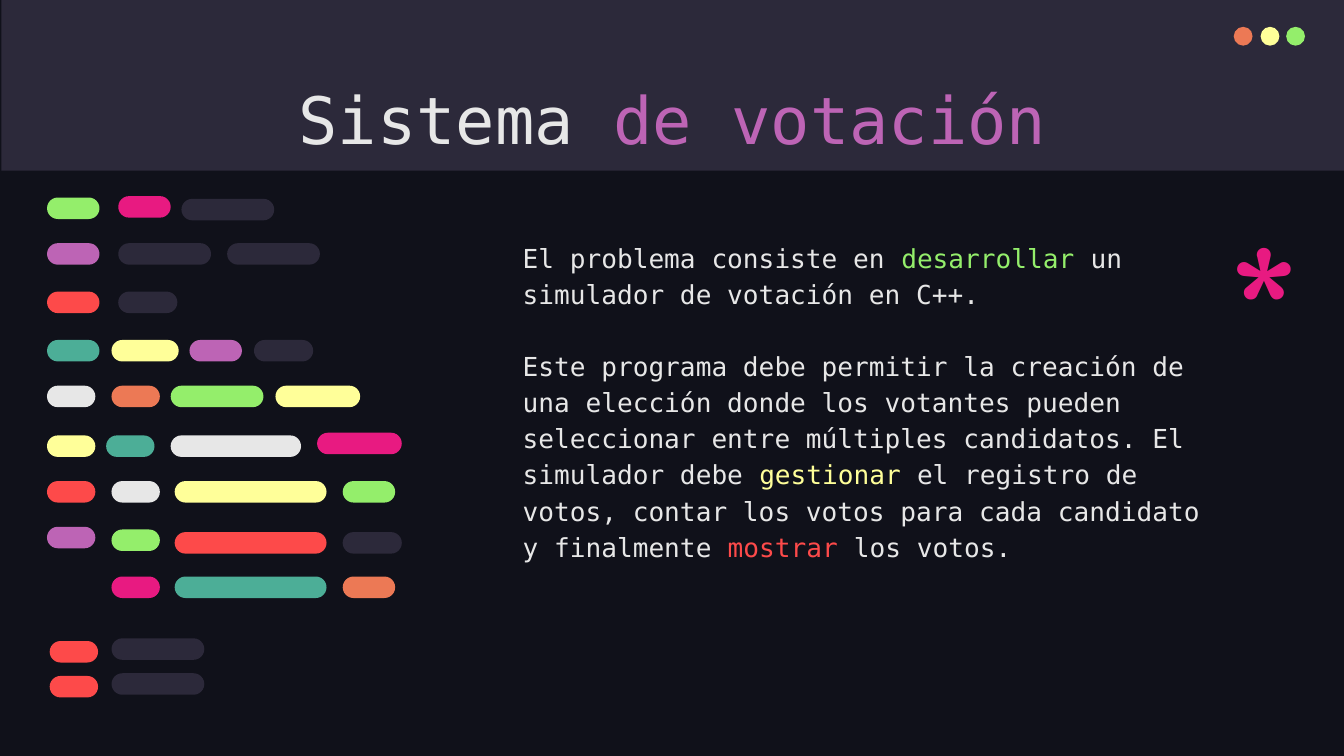
from pptx import Presentation
from pptx.dml.color import RGBColor
from pptx.enum.shapes import MSO_SHAPE
from pptx.enum.text import MSO_ANCHOR, PP_ALIGN
from pptx.util import Inches, Pt

NIGHT, SLATE, WHITE = "10111A", "2C293A", "E7E7E7"
GREEN, PINK, PURPLE, RED = "94EE6B", "E81A81", "BD64B5", "FD4A4A"
TEAL, YELLOW, ORANGE = "4CAE97", "FFFF99", "EC7955"
MONO = "DejaVu Sans Mono"

TITLE = [[("Sistema ", WHITE), ("de votación", PURPLE)]]
BODY = [
    [("El problema consiste en ", WHITE), ("desarrollar", GREEN),
     (" un simulador de votación en C++.", WHITE)],
    [("Este programa debe permitir la creación de una elección donde los votantes "
      "pueden seleccionar entre múltiples candidatos. El simulador debe ", WHITE),
     ("gestionar", YELLOW),
     (" el registro de votos, contar los votos para cada candidato y finalmente ", WHITE),
     ("mostrar", RED), (" los votos.", WHITE)],
]
ASTERISK = [[("*", PINK)]]

DOTS = [(9.18, ORANGE), (9.38, YELLOW), (9.57, GREEN)]
DOT_TOP, DOT_SIZE = 0.2, 0.14

# Lines of code: top, then (left, width, colour[, vertical offset]) of each pill
PILL_HEIGHT = 0.16
CODE_LINES = [
    (1.47, [(0.35, 0.39, GREEN), (0.88, 0.39, PINK, -0.01), (1.35, 0.69, SLATE, 0.01)]),
    (1.81, [(0.35, 0.39, PURPLE), (0.88, 0.69, SLATE), (1.69, 0.69, SLATE)]),
    (2.17, [(0.35, 0.39, RED), (0.88, 0.44, SLATE)]),
    (2.53, [(0.35, 0.39, TEAL), (0.83, 0.5, YELLOW), (1.41, 0.39, PURPLE),
            (1.89, 0.44, SLATE)]),
    (2.87, [(0.35, 0.36, WHITE), (0.83, 0.36, ORANGE), (1.27, 0.69, GREEN),
            (2.05, 0.63, YELLOW)]),
    (3.24, [(0.35, 0.36, YELLOW), (0.79, 0.36, TEAL), (1.27, 0.97, WHITE),
            (2.36, 0.63, PINK, -0.02)]),
    (3.58, [(0.35, 0.36, RED), (0.83, 0.36, WHITE), (1.3, 1.13, YELLOW),
            (2.55, 0.39, GREEN)]),
    (3.96, [(0.35, 0.36, PURPLE, -0.04), (0.83, 0.36, GREEN, -0.02),
            (1.3, 1.13, RED), (2.55, 0.44, SLATE)]),
    (4.29, [(0.83, 0.36, PINK), (1.3, 1.13, TEAL), (2.55, 0.39, ORANGE)]),
    (4.77, [(0.37, 0.36, RED), (0.83, 0.69, SLATE, -0.02)]),
    (5.03, [(0.37, 0.36, RED), (0.83, 0.69, SLATE, -0.02)]),
]


def rgb(value):
    return RGBColor.from_string(value)


def add_block(shapes, kind, left, top, width, height, color):
    """Add a flat filled shape without outline to a slide or a group."""
    sp = shapes.add_shape(kind, Inches(left), Inches(top), Inches(width), Inches(height))
    sp.shadow.inherit = False
    sp.fill.solid()
    sp.fill.fore_color.rgb = rgb(color)
    sp.line.fill.background()
    return sp


def add_text(slide, box, paragraphs, font, size, align=PP_ALIGN.LEFT,
             spacing=1.0, gap=0):
    """Add a text box; gap is the space in points between paragraphs."""
    tf = slide.shapes.add_textbox(*map(Inches, box)).text_frame
    tf.word_wrap = True
    tf.vertical_anchor = MSO_ANCHOR.TOP
    tf.margin_left = tf.margin_right = Inches(0.1)
    tf.margin_top = tf.margin_bottom = Inches(0.1)
    for i, runs in enumerate(paragraphs):
        p = tf.add_paragraph() if i else tf.paragraphs[0]
        p.alignment = align
        p.line_spacing = spacing
        p.space_before = Pt(gap if i else 0)
        p.font.name = font
        p.font.size = Pt(size)
        for text, color in runs:
            r = p.add_run()
            r.text = text
            r.font.color.rgb = rgb(color)


def main():
    prs = Presentation()
    prs.slide_width = Inches(10)
    prs.slide_height = prs.slide_width * 9 // 16
    s = prs.slides.add_slide(prs.slide_layouts[6])
    s.background.fill.solid()
    s.background.fill.fore_color.rgb = rgb(NIGHT)

    add_block(s.shapes, MSO_SHAPE.RECTANGLE, 0.01, 0, 10, 1.27, SLATE)
    dots = s.shapes.add_group_shape().shapes
    for left, color in DOTS:
        add_block(dots, MSO_SHAPE.OVAL, left, DOT_TOP, DOT_SIZE, DOT_SIZE, color)

    add_text(s, (0.79, 0.49, 8.43, 0.63), TITLE, MONO, 35, align=PP_ALIGN.CENTER)
    add_text(s, (3.79, 1.67, 5.43, 3.36), BODY, MONO, 14, spacing=1.15, gap=19.4)

    pills = s.shapes.add_group_shape().shapes
    for top, line in CODE_LINES:
        for left, width, color, *offset in line:
            pill = add_block(pills, MSO_SHAPE.ROUNDED_RECTANGLE, left,
                             top + sum(offset), width, PILL_HEIGHT, color)
            pill.adjustments[0] = 0.5

    add_text(s, (9.05, 1.46, 0.57, 0.87), ASTERISK, "Comfortaa", 96)
    prs.save("out.pptx")


if __name__ == "__main__":
    main()
